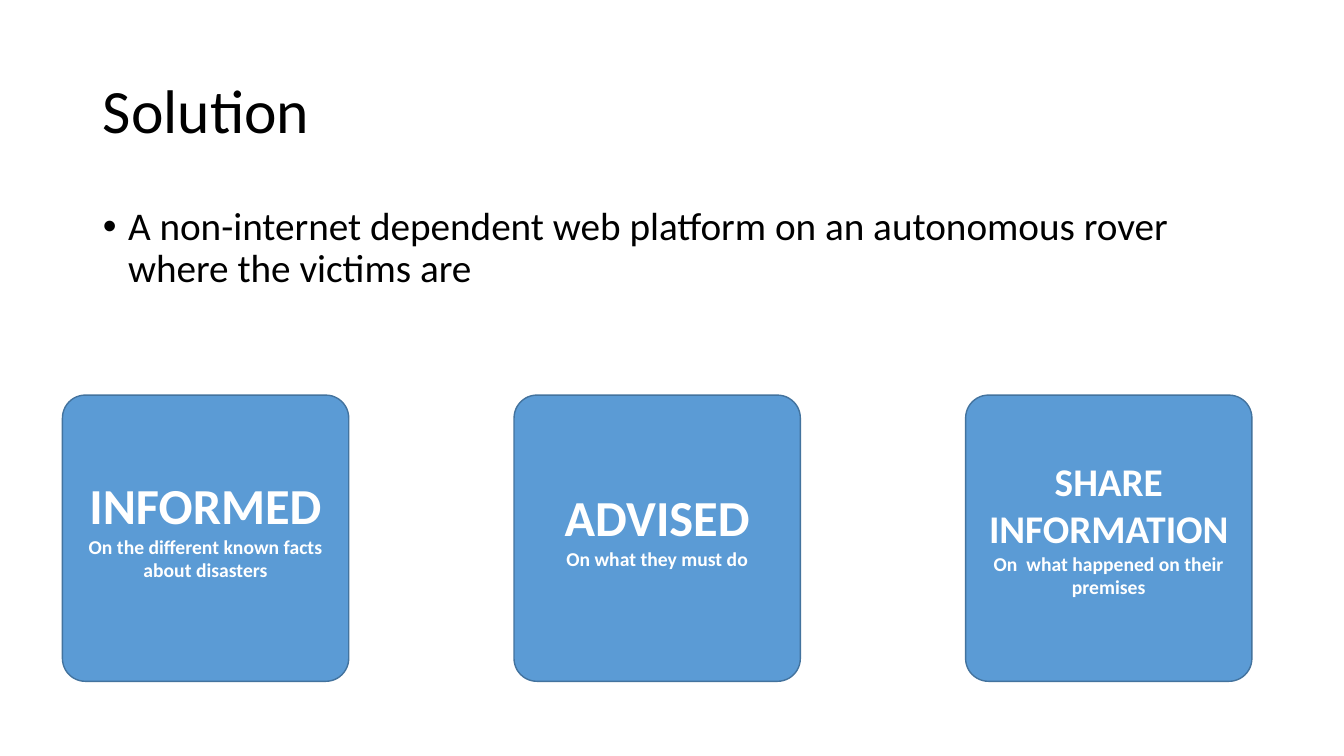
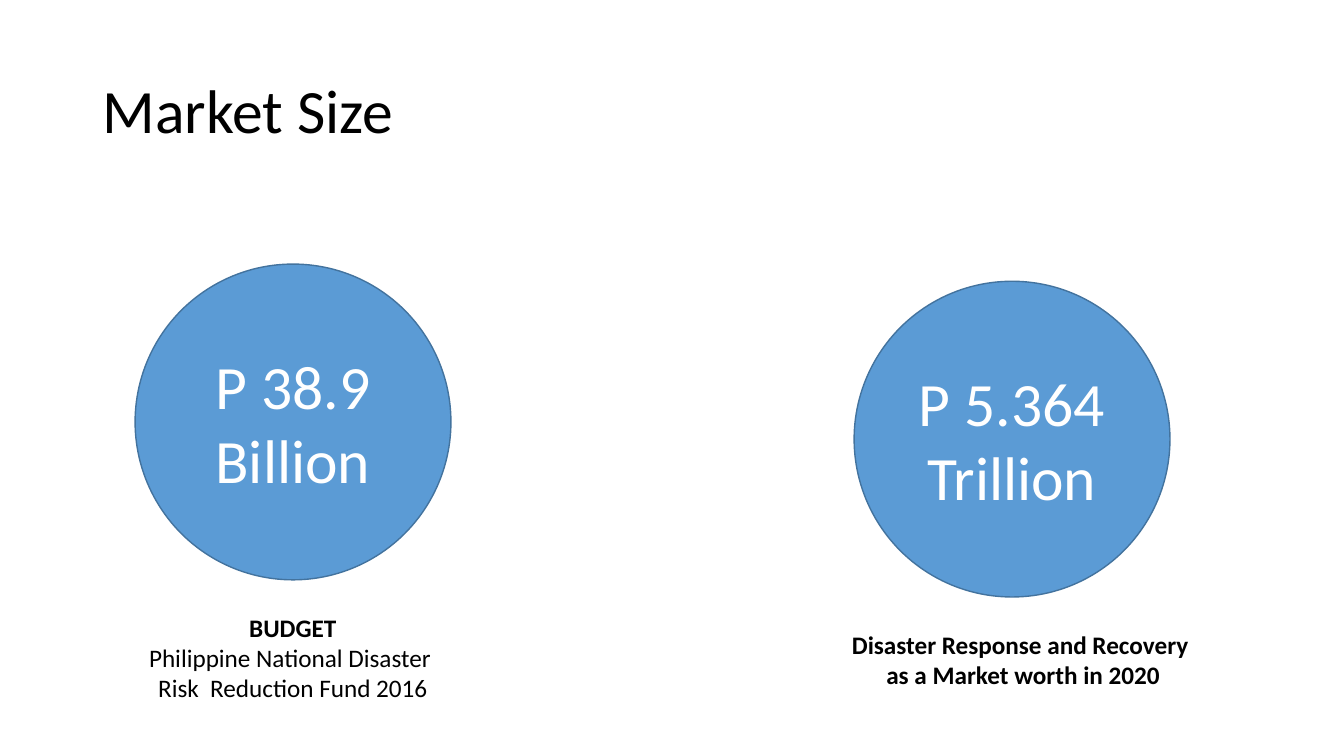
from lxml import etree
from pptx import Presentation
from pptx.dml.color import RGBColor
from pptx.enum.shapes import MSO_SHAPE
from pptx.enum.text import MSO_ANCHOR, MSO_AUTO_SIZE, PP_ALIGN
from pptx.oxml.ns import qn
from pptx.util import Inches, Pt

SLIDE_WIDTH = Inches(13.33)
SLIDE_HEIGHT = Inches(7.5)
COLUMN = SLIDE_WIDTH / 100
ROW = SLIDE_HEIGHT / 100

FONT = "Calibri"
BLACK = RGBColor(0x00, 0x00, 0x00)
WHITE = RGBColor(0xFF, 0xFF, 0xFF)
BLUE = RGBColor(0x5B, 0x9B, 0xD5)
DARK_BLUE = RGBColor(0x43, 0x73, 0x9E)

ROUNDED = MSO_SHAPE.ROUNDED_RECTANGLE
OVAL = MSO_SHAPE.OVAL
MIDDLE = MSO_ANCHOR.MIDDLE
TOP = MSO_ANCHOR.TOP
LEFT = PP_ALIGN.LEFT
CENTER = PP_ALIGN.CENTER
NO_AUTOFIT = MSO_AUTO_SIZE.NONE
GROW = MSO_AUTO_SIZE.SHAPE_TO_FIT_TEXT

CONTENT_LEFT, CONTENT_WIDTH = 6.9, 86.25
TITLE_TOP, TITLE_HEIGHT = 5.33, 19.33
BODY_TOP, BODY_HEIGHT = 26.67, 63.47
CARD_LEFT, CARD_TOP, CARD_SIZE, CARD_STEP = 4.65, 52.27, 21.3, 33.6
CIRCLE_SIZE = 23.5
CAPTION_GAP = 3.6

TITLE_AND_CONTENT, TITLE_ONLY = 1, 5

CARDS = [
    ("INFORMED", 36, "On the different known facts about disasters"),
    ("ADVISED", 36, "On what they must do"),
    ("SHARE INFORMATION", 28, "On  what happened on their premises"),
]

MARKETS = [
    {
        "left": 10.05, "top": 34.93, "amount": "P 38.9 Billion",
        "caption_left": 10.2, "caption_width": 23.18, "caption_height": 13.47,
        "caption": [("BUDGET", 18, True),
                    ("Philippine National Disaster ", 18, False),
                    ("Risk  Reduction Fund 2016", 18, False)],
    },
    {
        "left": 63.55, "top": 37.2, "amount": "P 5.364 Trillion",
        "caption_left": 62.55, "caption_width": 27.15, "caption_height": 9.47,
        "caption": [("Disaster Response and Recovery ", 18, True),
                    ("as a Market worth in 2020", 18, True)],
    },
]


def columns(count):
    return round(count * COLUMN)


def rows(count):
    return round(count * ROW)


def write_lines(text_frame, lines, color, alignment):
    for index, (text, size, bold) in enumerate(lines):
        paragraph = text_frame.paragraphs[0] if index == 0 else text_frame.add_paragraph()
        paragraph.alignment = alignment
        run = paragraph.add_run()
        run.text = text
        run.font.name = FONT
        run.font.size = Pt(size)
        run.font.bold = bold
        run.font.color.rgb = color


def fill_placeholder(placeholder, top, height, text, size, anchor):
    placeholder.left, placeholder.width = columns(CONTENT_LEFT), columns(CONTENT_WIDTH)
    placeholder.top, placeholder.height = rows(top), rows(height)
    text_frame = placeholder.text_frame
    text_frame.auto_size = NO_AUTOFIT
    text_frame.vertical_anchor = anchor
    write_lines(text_frame, [(text, size, False)], BLACK, LEFT)
    paragraph = text_frame.paragraphs[0]
    paragraph.line_spacing = 0.9
    paragraph.space_before = Pt(0)
    return paragraph


def add_titled_slide(presentation, layout_index, title):
    slide = presentation.slides.add_slide(presentation.slide_layouts[layout_index])
    fill_placeholder(slide.shapes.title, TITLE_TOP, TITLE_HEIGHT, title, 44, MIDDLE)
    return slide


def add_bullet(slide, text):
    paragraph = fill_placeholder(slide.placeholders[1], BODY_TOP, BODY_HEIGHT, text, 28, TOP)
    properties = paragraph._p.get_or_add_pPr()
    properties.set("marL", str(Inches(0.25)))
    properties.set("indent", str(-Inches(0.25)))
    etree.SubElement(properties, qn("a:buFont")).set("typeface", "Arial")
    etree.SubElement(properties, qn("a:buChar")).set("char", "•")


def add_blue_shape(slide, kind, left, top, size, lines):
    shape = slide.shapes.add_shape(kind, columns(left), rows(top), columns(size), columns(size))
    shape.shadow.inherit = False
    shape.fill.solid()
    shape.fill.fore_color.rgb = BLUE
    shape.line.color.rgb = DARK_BLUE
    shape.line.width = Pt(1)
    shape.text_frame.word_wrap = True
    shape.text_frame.vertical_anchor = MIDDLE
    write_lines(shape.text_frame, lines, WHITE, CENTER)
    return shape


def add_card(slide, index, heading, heading_size, detail):
    lines = [(heading, heading_size, True), (detail, 14, True)]
    card = add_blue_shape(slide, ROUNDED, CARD_LEFT + index * CARD_STEP, CARD_TOP, CARD_SIZE, lines)
    card.adjustments[0] = 0.08
    card.text_frame.margin_bottom = Inches(0.25)


def add_market(slide, market):
    circle = add_blue_shape(slide, OVAL, market["left"], market["top"], CIRCLE_SIZE,
                            [(market["amount"], 44, False)])
    caption = slide.shapes.add_textbox(
        columns(market["caption_left"]), circle.top + circle.height + rows(CAPTION_GAP),
        columns(market["caption_width"]), rows(market["caption_height"]))
    caption.text_frame.word_wrap = False
    caption.text_frame.auto_size = GROW
    write_lines(caption.text_frame, market["caption"], BLACK, CENTER)


def build_solution(presentation):
    slide = add_titled_slide(presentation, TITLE_AND_CONTENT, "Solution")
    add_bullet(slide, "A non-internet dependent web platform on an autonomous rover "
                      "where the victims are")
    for index, card in enumerate(CARDS):
        add_card(slide, index, *card)


def build_market_size(presentation):
    slide = add_titled_slide(presentation, TITLE_ONLY, "Market Size")
    for market in MARKETS:
        add_market(slide, market)


def main():
    presentation = Presentation()
    presentation.slide_width = SLIDE_WIDTH
    presentation.slide_height = SLIDE_HEIGHT
    build_solution(presentation)
    build_market_size(presentation)
    presentation.save("out.pptx")


if __name__ == "__main__":
    main()
